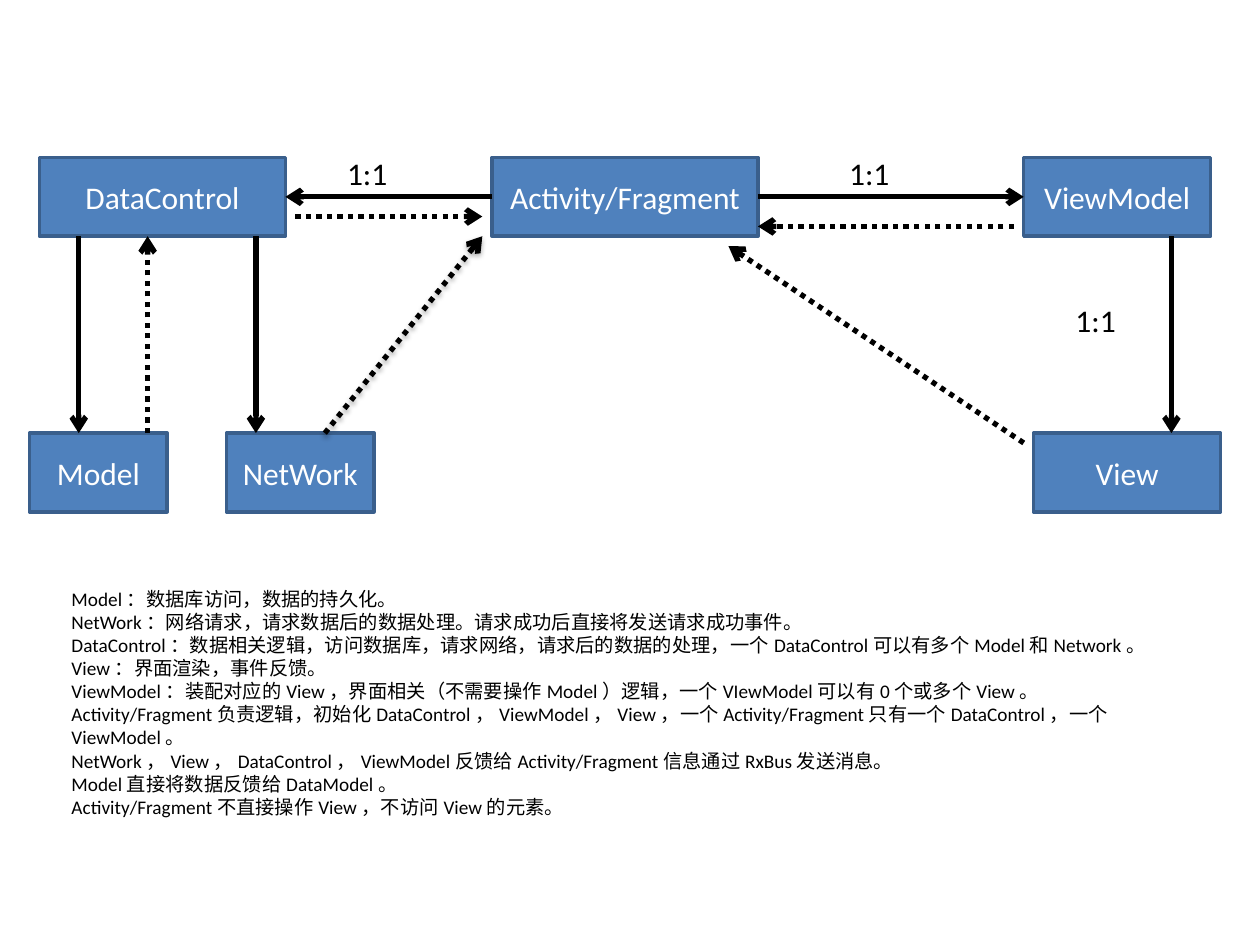
"""Build a slide that shows how app layers call and notify each other."""
import pptx
import pptx.dml.color
import pptx.enum.dml
import pptx.enum.shapes
import pptx.enum.text
import pptx.oxml
import pptx.oxml.ns
import pptx.util
from lxml import etree

BLUE = pptx.dml.color.RGBColor(0x4F, 0x81, 0xBD)
DARK_BLUE = pptx.dml.color.RGBColor(0x3A, 0x5F, 0x8C)
WHITE = pptx.dml.color.RGBColor(0xFF, 0xFF, 0xFF)
BLACK = pptx.dml.color.RGBColor(0x00, 0x00, 0x00)

WIDTH = pptx.util.Inches(10)
HEIGHT = pptx.util.Inches(7.5)
COLUMNS = 128
UPPER_ROW, LOWER_ROW, BOX_ROWS = 16, 44, 8
UPPER_MIDDLE = UPPER_ROW + BOX_ROWS / 2
UPPER_BOTTOM = UPPER_ROW + BOX_ROWS
LEFT_SIDE, RIGHT_SIDE = 1, 3

LAYERS = [
    ("Activity/Fragment", 50, UPPER_ROW, 27),
    ("ViewModel", 104, UPPER_ROW, 19),
    ("View", 105, LOWER_ROW, 19),
    ("DataControl", 4, UPPER_ROW, 25),
    ("Model", 3, LOWER_ROW, 14),
    ("NetWork", 23, LOWER_ROW, 15),
]
CALL_COLUMNS = [8, 26, 119]
FEEDBACKS = [
    ((15, LOWER_ROW), (15, UPPER_BOTTOM)),
    ((104, 45), (74, 25)),
    ((103, 23), (77, 23)),
    ((30, 22), (49, 22)),
]
RATIO_PLACES = [(85, 15), (34, 15), (108, 30)]
NOTES = [
    "Model：数据库访问，数据的持久化。",
    "NetWork：网络请求，请求数据后的数据处理。请求成功后直接将发送请求成功事件。",
    "DataControl：数据相关逻辑，访问数据库，请求网络，请求后的数据的处理，"
    "一个DataControl可以有多个Model和Network。",
    "View：界面渲染，事件反馈。",
    "ViewModel：装配对应的View，界面相关（不需要操作Model）逻辑，"
    "一个VIewModel可以有0个或多个View。",
    "Activity/Fragment负责逻辑，初始化DataControl，ViewModel，View，"
    "一个Activity/Fragment只有一个DataControl，一个ViewModel。",
    "NetWork，View，DataControl，ViewModel反馈给Activity/Fragment信息通过RxBus发送消息。",
    "Model直接将数据反馈给DataModel。",
    "Activity/Fragment不直接操作View，不访问View的元素。",
]
SHADOW = (
    '<a:outerShdw xmlns:a="http://schemas.openxmlformats.org/drawingml/2006/main" '
    'blurRad="40000" dist="23000" dir="5400000" rotWithShape="0">'
    '<a:srgbClr val="000000"><a:alpha val="35000"/></a:srgbClr></a:outerShdw>'
)


def grid(*cells):
    """Turn counts of square grid cells into lengths."""
    return [round(cell * WIDTH / COLUMNS) for cell in cells]


def style_paragraph(para, size, color):
    """Set the font of a whole paragraph."""
    para.font.name = "Calibri"
    para.font.size = pptx.util.Pt(size)
    para.font.color.rgb = color


def add_layer(page, name, column, row, columns):
    """Add one labelled layer box."""
    box = page.shapes.add_shape(
        pptx.enum.shapes.MSO_SHAPE.RECTANGLE, *grid(column, row, columns, BOX_ROWS))
    box.shadow.inherit = False
    box.fill.solid()
    box.fill.fore_color.rgb = BLUE
    box.line.color.rgb = DARK_BLUE
    box.line.width = pptx.util.Pt(2)
    box.text_frame.word_wrap = True
    box.text_frame.vertical_anchor = pptx.enum.text.MSO_ANCHOR.MIDDLE
    para = box.text_frame.paragraphs[0]
    para.text = name
    para.alignment = pptx.enum.text.PP_ALIGN.CENTER
    style_paragraph(para, 18, WHITE)
    return box


def add_arrow(page, start, end, dotted=False, shadow=False):
    """Add a straight arrow between two grid points."""
    arrow = page.shapes.add_connector(
        pptx.enum.shapes.MSO_CONNECTOR.STRAIGHT, *grid(*start, *end))
    arrow.line.color.rgb = BLACK
    arrow.line.width = pptx.util.Pt(3)
    if dotted:
        arrow.line.dash_style = pptx.enum.dml.MSO_LINE.ROUND_DOT
    qn = pptx.oxml.ns.qn
    properties = arrow._element.spPr
    etree.SubElement(properties.find(qn("a:ln")), qn("a:tailEnd"), type="arrow")
    effects = etree.SubElement(properties, qn("a:effectLst"))
    if shadow:
        effects.append(pptx.oxml.parse_xml(SHADOW))
    return arrow


def add_text(page, lines, column, row, columns, rows, size):
    """Add a wrapped text box with one paragraph per line."""
    box = page.shapes.add_textbox(*grid(column, row, columns, rows))
    frame = box.text_frame
    frame.word_wrap = True
    frame.auto_size = pptx.enum.text.MSO_AUTO_SIZE.SHAPE_TO_FIT_TEXT
    for index, line in enumerate(lines):
        para = frame.add_paragraph() if index else frame.paragraphs[0]
        para.text = line
        style_paragraph(para, size, BLACK)


def main():
    """Build and save the slide."""
    deck = pptx.Presentation()
    deck.slide_width, deck.slide_height = WIDTH, HEIGHT
    page = deck.slides.add_slide(deck.slide_layouts[6])

    boxes = {layer[0]: add_layer(page, *layer) for layer in LAYERS}
    activity = boxes["Activity/Fragment"]

    to_view_model = add_arrow(page, (77, UPPER_MIDDLE), (104, UPPER_MIDDLE))
    to_view_model.begin_connect(activity, RIGHT_SIDE)
    to_view_model.end_connect(boxes["ViewModel"], LEFT_SIDE)
    to_data = add_arrow(page, (50, UPPER_MIDDLE), (29, UPPER_MIDDLE))
    to_data.begin_connect(activity, LEFT_SIDE)
    to_data.end_connect(boxes["DataControl"], RIGHT_SIDE)

    for column in CALL_COLUMNS:
        add_arrow(page, (column, UPPER_BOTTOM), (column, LOWER_ROW))
    for start, end in FEEDBACKS:
        add_arrow(page, start, end, dotted=True)
    add_arrow(page, (33, LOWER_ROW), (49, UPPER_BOTTOM), dotted=True, shadow=True)

    for column, row in RATIO_PLACES:
        add_text(page, ["1:1"], column, row, 10, 5.12, 18)
    add_text(page, NOTES, 6, 59, 117, 22.66, 11)
    deck.save("out.pptx")


if __name__ == "__main__":
    main()
